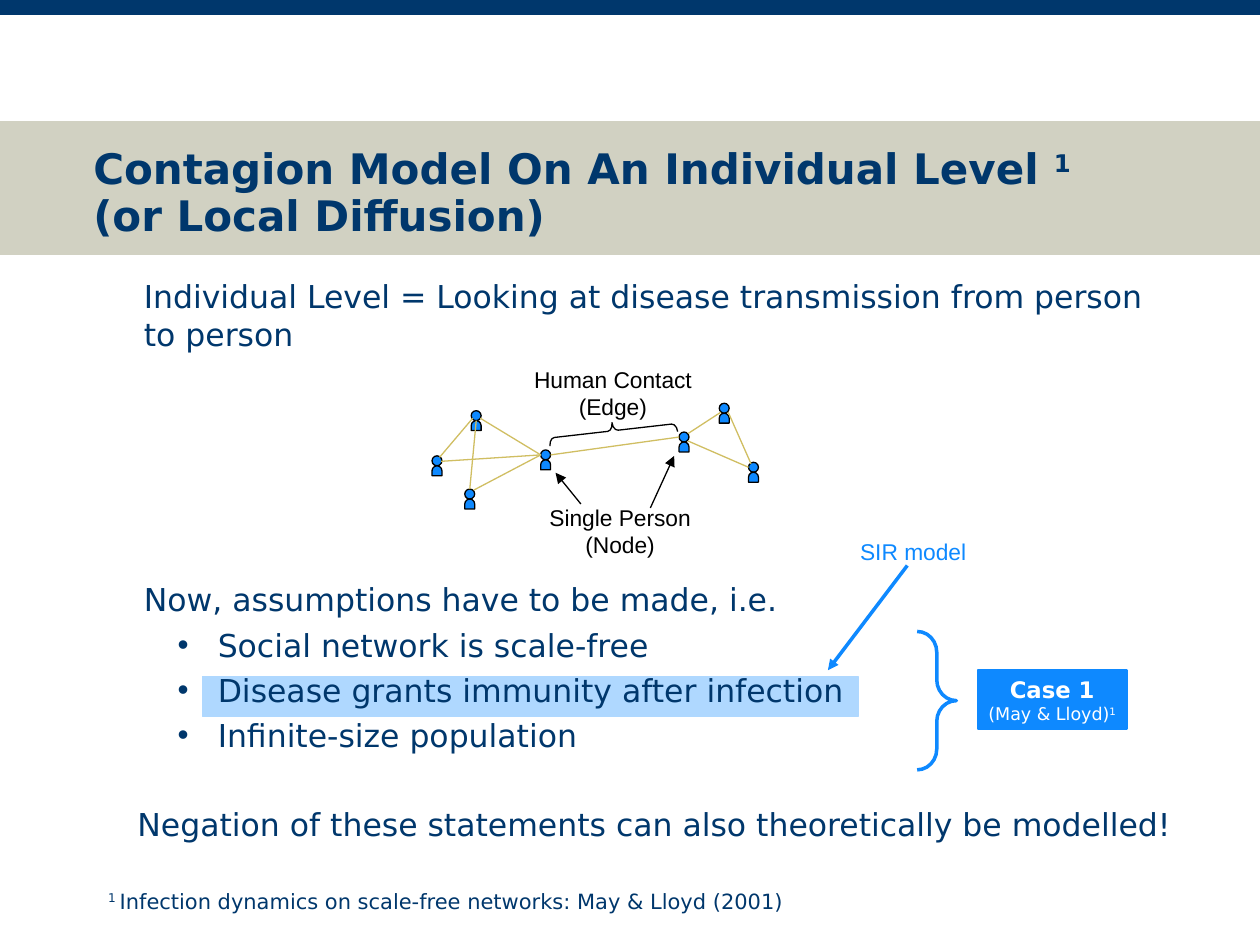
from dataclasses import dataclass

import pptx
import pptx.dml.color
import pptx.enum.shapes
import pptx.enum.text
import pptx.oxml.ns
import pptx.util
from lxml import etree

Cm = pptx.util.Cm
Pt = pptx.util.Pt
Preset = pptx.enum.shapes.MSO_SHAPE
Align = pptx.enum.text.PP_ALIGN
Anchor = pptx.enum.text.MSO_ANCHOR

COLORS = {
    "navy": "00376C", "sand": "D1D1C2", "highlight": "AFD8FF", "blue": "0E89FF",
    "contact": "D0BE62", "black": "000000", "white": "FFFFFF",
}
HEADING_FONT, LABEL_FONT = "DejaVu Sans", "Arial"
PERSON_SIZE = 0.2


@dataclass(frozen=True)
class Box:
    """Position and size in centimetres."""
    left: float
    top: float
    width: float
    height: float

    def lengths(self):
        return Cm(self.left), Cm(self.top), Cm(self.width), Cm(self.height)


@dataclass(frozen=True)
class Line:
    """A straight line between two points in centimetres."""
    start: tuple[float, float]
    end: tuple[float, float]
    color: str = "contact"
    width: float = 0.75
    arrow: bool = False


@dataclass(frozen=True)
class Label:
    box: Box
    lines: tuple[str, ...]
    color: str = "black"
    align: Align = Align.CENTER


@dataclass(frozen=True)
class BodyLine:
    text: str
    level: int = 0
    margin: float = 0.97
    space_before: float = 4.2
    bullet: bool = False


PEOPLE = [(9.5, 8.28), (10.9, 9.07), (9.37, 9.86), (8.71, 9.19),
          (14.5, 8.13), (15.09, 9.32), (13.69, 8.71)]
HUB = (10.9, 9.17)
CONTACTS = [
    Line((8.86, 9.22), (9.53, 8.43)),
    Line((9.68, 8.43), HUB),
    Line((9.6, 8.48), (9.47, 9.86)),
    Line((9.55, 9.88), HUB),
    Line((8.89, 9.3), HUB),
    Line((11.1, 9.17), (13.69, 8.81)),
    Line((14.53, 8.31), (13.87, 8.74)),
    Line((14.68, 8.31), (15.14, 9.35)),
    Line((13.87, 8.89), (15.09, 9.42)),
]
ARROWS = [
    Line((11.71, 10.16), (11.2, 9.53), "black", arrow=True),
    Line((13.11, 10.24), (13.59, 9.19), "black", arrow=True),
    Line((18.29, 11.4), (16.69, 13.51), "blue", 2, arrow=True),
]
LABELS = [
    Label(Box(10.8, 10.03, 3.4, 1.37), ("Single Person", "(Node)")),
    Label(Box(10.49, 7.24, 3.73, 1.37), ("Human Contact", "(Edge)")),
    Label(Box(17.09, 10.72, 3.81, 0.81), ("SIR model",), "blue", Align.LEFT),
]
BODY = [
    BodyLine("Individual Level = Looking at disease transmission from person to person"),
    BodyLine("Now, assumptions have to be made, i.e.", space_before=130),
    BodyLine("Social network is scale-free", 2, 2.46, bullet=True),
    BodyLine("Disease grants immunity after infection", 2, 2.46, bullet=True),
    BodyLine("Infinite-size population", 2, 2.46, bullet=True),
    BodyLine("Negation of these statements can also theoretically be modelled!",
             1, 0.84, 29.3),
]


def rgb(name: str):
    return pptx.dml.color.RGBColor.from_string(COLORS[name])


def add_shape(slide, preset, box: Box, fill=None, line=None, width=0.75, rotation=0):
    shape = slide.shapes.add_shape(preset, *box.lengths())
    shape.shadow.inherit = False
    shape.rotation = rotation
    if fill:
        shape.fill.solid()
        shape.fill.fore_color.rgb = rgb(fill)
    else:
        shape.fill.background()
    shape.line.color.rgb = rgb(line or fill)
    shape.line.width = Pt(width)
    return shape


def add_line(slide, line: Line):
    (x1, y1), (x2, y2) = line.start, line.end
    connector = slide.shapes.add_connector(
        pptx.enum.shapes.MSO_CONNECTOR.STRAIGHT, Cm(x1), Cm(y1), Cm(x2), Cm(y2))
    connector.line.color.rgb = rgb(line.color)
    connector.line.width = Pt(line.width)
    if line.arrow:
        etree.SubElement(connector.line._get_or_add_ln(),
                         pptx.oxml.ns.qn("a:tailEnd"), type="triangle")
    etree.SubElement(connector._element.spPr, pptx.oxml.ns.qn("a:effectLst"))


def add_person(slide, left: float, top: float):
    parts = [(Preset.OVAL, top, 0), (Preset.FLOWCHART_DELAY, top + PERSON_SIZE, 270)]
    for preset, part_top, rotation in parts:
        add_shape(slide, preset, Box(left, part_top, PERSON_SIZE, PERSON_SIZE),
                  "blue", "black", rotation=rotation)


def format_paragraph(paragraph, font, size, color, bold=False, align=Align.LEFT):
    paragraph.font.name = font
    paragraph.font.size = Pt(size)
    paragraph.font.bold = bold
    paragraph.font.color.rgb = rgb(color)
    paragraph.alignment = align


def add_run(paragraph, text: str, superscript=False):
    run = paragraph.add_run()
    run.text = text
    if superscript:
        run.font._element.set("baseline", "30000")


def next_paragraph(frame, index: int):
    return frame.add_paragraph() if index else frame.paragraphs[0]


def remove_insets(frame):
    frame.margin_left = frame.margin_right = frame.margin_top = frame.margin_bottom = 0


def prepare_placeholder(slide, placeholder, box: Box):
    """Place the placeholder in front of the bands and return its text frame."""
    slide.shapes._spTree.append(placeholder._element)
    placeholder.left, placeholder.top, placeholder.width, placeholder.height = box.lengths()
    frame = placeholder.text_frame
    remove_insets(frame)
    frame.vertical_anchor = Anchor.TOP
    frame.auto_size = pptx.enum.text.MSO_AUTO_SIZE.NONE
    frame.word_wrap = True
    return frame


def add_text_box(slide, box: Box):
    frame = slide.shapes.add_textbox(*box.lengths()).text_frame
    frame.word_wrap = True
    return frame


def fill_title(slide):
    frame = prepare_placeholder(slide, slide.shapes.title, Box(1.88, 2.97, 21.87, 1.83))
    paragraph = frame.paragraphs[0]
    format_paragraph(paragraph, HEADING_FONT, 24, "navy", bold=True)
    paragraph.line_spacing = 0.93
    add_run(paragraph, "Contagion Model On An Individual Level ")
    add_run(paragraph, "1", superscript=True)
    paragraph.add_line_break()
    add_run(paragraph, "(or Local Diffusion)")


def fill_body(slide):
    frame = prepare_placeholder(slide, slide.placeholders[1], Box(1.93, 5.59, 21.87, 11.68))
    for index, line in enumerate(BODY):
        paragraph = next_paragraph(frame, index)
        paragraph.level = line.level
        format_paragraph(paragraph, HEADING_FONT, 18, "navy")
        paragraph.space_before = Pt(line.space_before)
        add_run(paragraph, line.text)
        properties = paragraph._p.get_or_add_pPr()
        properties.set("marL", str(Cm(line.margin)))
        properties.set("indent", str(Cm(-0.81 if line.bullet else 0)))
        bullet = etree.Element(pptx.oxml.ns.qn("a:buChar" if line.bullet else "a:buNone"))
        if line.bullet:
            bullet.set("char", "•")
        properties.find(pptx.oxml.ns.qn("a:spcBef")).addnext(bullet)


def add_label(slide, label: Label):
    frame = add_text_box(slide, label.box)
    for index, text in enumerate(label.lines):
        paragraph = next_paragraph(frame, index)
        format_paragraph(paragraph, LABEL_FONT, 13, label.color, align=label.align)
        add_run(paragraph, text)


def add_case(slide):
    brace = add_shape(slide, Preset.RIGHT_BRACE, Box(18.49, 12.73, 0.79, 2.79),
                      "white", "blue", 2)
    brace.adjustments[0] = 0.53
    frame = add_shape(slide, Preset.RECTANGLE, Box(19.71, 13.51, 3, 1.19),
                      "blue", width=1.25).text_frame
    remove_insets(frame)
    frame.vertical_anchor = Anchor.MIDDLE
    heading, source = frame.paragraphs[0], frame.add_paragraph()
    format_paragraph(heading, HEADING_FONT, 13, "white", True, Align.CENTER)
    add_run(heading, "Case 1")
    format_paragraph(source, HEADING_FONT, 10, "white", align=Align.CENTER)
    add_run(source, "(May & Lloyd)")
    add_run(source, "1", superscript=True)


def add_footnote(slide):
    frame = add_text_box(slide, Box(1.93, 17.65, 21.84, 1.02))
    frame.vertical_anchor = Anchor.MIDDLE
    paragraph = frame.paragraphs[0]
    format_paragraph(paragraph, HEADING_FONT, 12, "navy")
    add_run(paragraph, "1 ", superscript=True)
    add_run(paragraph, "Infection dynamics on scale-free networks: May & Lloyd (2001)")


def main():
    presentation = pptx.Presentation()
    presentation.slide_width, presentation.slide_height = Cm(25.4), Cm(19.05)
    slide = presentation.slides.add_slide(presentation.slide_layouts[1])
    add_shape(slide, Preset.RECTANGLE, Box(0, 2.46, 25.4, 2.67), "sand")
    add_shape(slide, Preset.RECTANGLE, Box(0, 0, 25.4, 0.3), "navy")
    add_shape(slide, Preset.RECTANGLE, Box(4.09, 13.64, 13.21, 0.81), "highlight")
    fill_title(slide)
    fill_body(slide)
    for left, top in PEOPLE:
        add_person(slide, left, top)
    for line in CONTACTS + ARROWS:
        add_line(slide, line)
    contact_brace = add_shape(slide, Preset.LEFT_BRACE, Box(12.19, 7.39, 0.33, 2.59),
                              line="black", rotation=83.5)
    contact_brace.adjustments[0] = 0.32
    for label in LABELS:
        add_label(slide, label)
    add_case(slide)
    add_footnote(slide)
    presentation.save("out.pptx")


if __name__ == "__main__":
    main()
